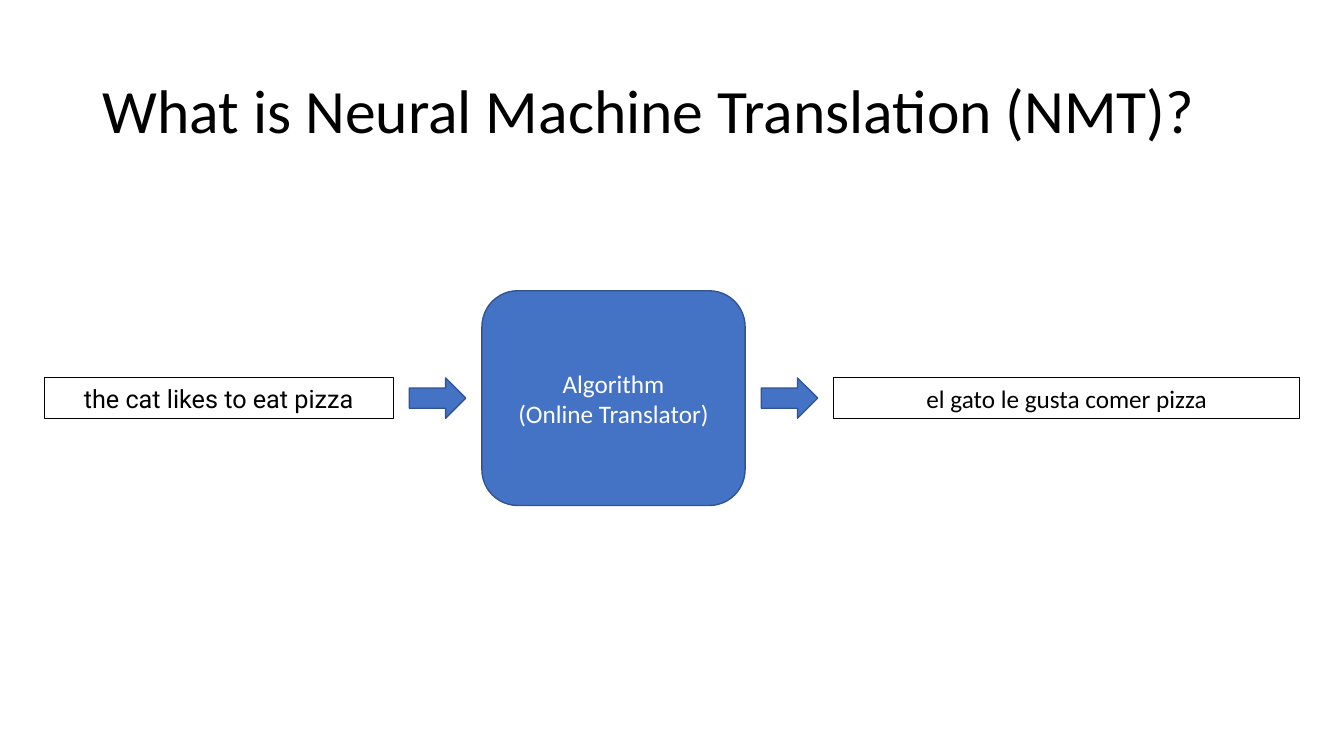
from pptx import Presentation
from pptx.dml.color import RGBColor
from pptx.enum import shapes, text
from pptx.util import Inches, Pt

COLORS = {"black": "000000", "white": "FFFFFF", "blue": "4472C4", "edge": "325491"}
SHAPE = shapes.MSO_SHAPE
ANCHOR = text.MSO_ANCHOR


def color(name):
    return RGBColor.from_string(COLORS[name])


def write(shape, lines, size, ink, font="Calibri", align=text.PP_ALIGN.CENTER,
          anchor=ANCHOR.MIDDLE, spacing=1.0):
    frame = shape.text_frame
    frame.word_wrap = True
    frame.vertical_anchor = anchor
    frame.text = "\n".join(lines)
    for para in frame.paragraphs:
        para.alignment = align
        para.line_spacing = spacing
        para.font.name = font
        para.font.size = Pt(size)
        para.font.color.rgb = color(ink)


def add_block(page, kind, box, fill, edge, weight):
    block = page.shapes.add_shape(kind, *map(Inches, box))
    block.shadow.inherit = False
    if fill:
        block.fill.solid()
        block.fill.fore_color.rgb = color(fill)
    else:
        block.fill.background()
    block.line.color.rgb = color(edge)
    block.line.width = Pt(weight)
    return block


def add_title(page, box, words):
    title = page.shapes.add_textbox(*map(Inches, box))
    write(title, [words], 44, "black", align=text.PP_ALIGN.LEFT, spacing=0.9)


def add_translation_flow(page, left, middle, gap=0.16):
    """Place sentence, algorithm and translation in a row centred on middle."""
    sentence = (SHAPE.RECTANGLE, 0.4, None, "black", 0.75)
    arrow = (SHAPE.RIGHT_ARROW, 0.4, "blue", "edge", 1)
    algorithm = (SHAPE.ROUNDED_RECTANGLE, 2.13, "blue", "edge", 1)
    steps = [
        (sentence, 3.46, ["the cat likes to eat pizza"], "Roboto"),
        (arrow, 0.56, [], None),
        (algorithm, 2.61, ["Algorithm", "(Online Translator)"], "Calibri"),
        (arrow, 0.56, [], None),
        (sentence, 4.62, ["el gato le gusta comer pizza"], "Calibri"),
    ]
    for (kind, height, fill, edge, weight), width, lines, font in steps:
        box = (left, middle - height / 2, width, height)
        block = add_block(page, kind, box, fill, edge, weight)
        if lines:
            write(block, lines, 18, "white" if fill else "black", font,
                  anchor=ANCHOR.MIDDLE if fill else ANCHOR.TOP)
        left += width + gap


def main():
    deck = Presentation()
    deck.slide_width, deck.slide_height = Inches(13.33), Inches(7.5)
    page = deck.slides.add_slide(deck.slide_layouts[6])

    # Title
    add_title(page, (0.92, 0.4, 11.5, 1.45), "What is Neural Machine Translation (NMT)?")
    # Translation flow
    add_translation_flow(page, left=0.44, middle=3.95)

    deck.save("out.pptx")


if __name__ == "__main__":
    main()
